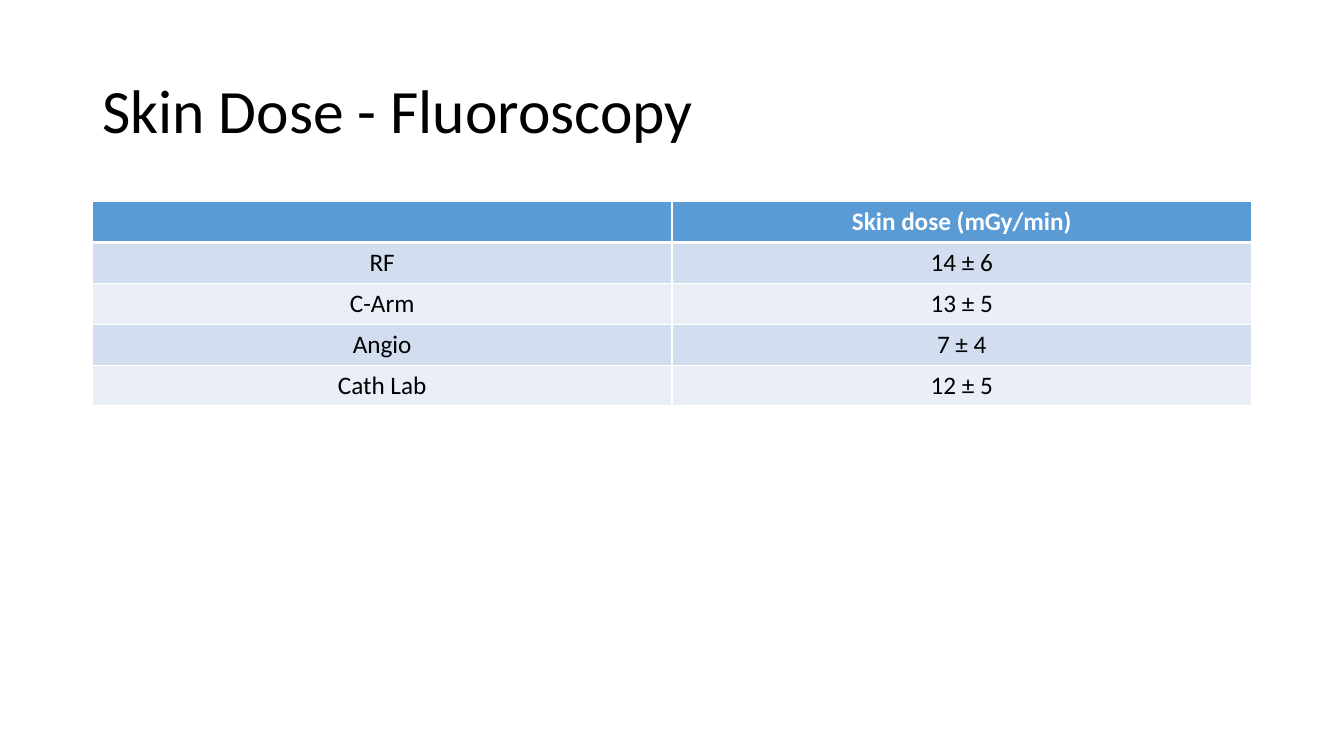
import pptx
import pptx.util
import pptx.dml.color
import pptx.enum.text
import lxml.etree
from pptx.oxml.ns import qn

Pt = pptx.util.Pt
Align = pptx.enum.text.PP_ALIGN
Anchor = pptx.enum.text.MSO_ANCHOR


def color(code):
    return pptx.dml.color.RGBColor.from_string(code)


def write(frame, text, size=18, ink="000000", bold=False, align=Align.CENTER, space=1.0):
    para = frame.paragraphs[0]
    para.alignment = align
    para.line_spacing = space
    run = para.add_run()
    run.text = text
    run.font.name = "Calibri"
    run.font.size = Pt(size)
    run.font.bold = bold
    run.font.color.rgb = color(ink)


deck = pptx.Presentation()
deck.slide_width, deck.slide_height = Pt(960), Pt(540)
slide = deck.slides.add_slide(deck.slide_layouts[6])
left, width = Pt(66), Pt(828)

# Title
title = slide.shapes.add_textbox(left, Pt(28.75), width, Pt(104.4)).text_frame
title.word_wrap = True
title.vertical_anchor = Anchor.MIDDLE
write(title, "Skin Dose - Fluoroscopy", size=44, align=Align.LEFT, space=0.9)

# Dose table
doses = [
    ("", "Skin dose (mGy/min)"),
    ("RF", "14 ± 6"),
    ("C-Arm", "13 ± 5"),
    ("Angio", "7 ± 4"),
    ("Cath Lab", "12 ± 5"),
]
high = Pt(29.2)
table = slide.shapes.add_table(len(doses), 2, left, Pt(144), width, high * len(doses)).table
for r, row in enumerate(doses):
    table.rows[r].height = high
    head = r == 0
    fill = "5B9BD5" if head else ("EAEFF7", "D2DEEF")[r % 2]
    for c, text in enumerate(row):
        cell = table.cell(r, c)
        # White borders, thicker below the header
        props = cell._tc.get_or_add_tcPr()
        for side in "LRTB":
            thick = (r, side) in ((0, "B"), (1, "T"))
            line = lxml.etree.SubElement(props, qn("a:ln" + side), w=str(Pt(3 if thick else 1)))
            solid = lxml.etree.SubElement(line, qn("a:solidFill"))
            lxml.etree.SubElement(solid, qn("a:srgbClr"), val="FFFFFF")
        cell.fill.solid()
        cell.fill.fore_color.rgb = color(fill)
        if text:
            write(cell.text_frame, text, ink="FFFFFF" if head else "000000", bold=head)

deck.save("out.pptx")
